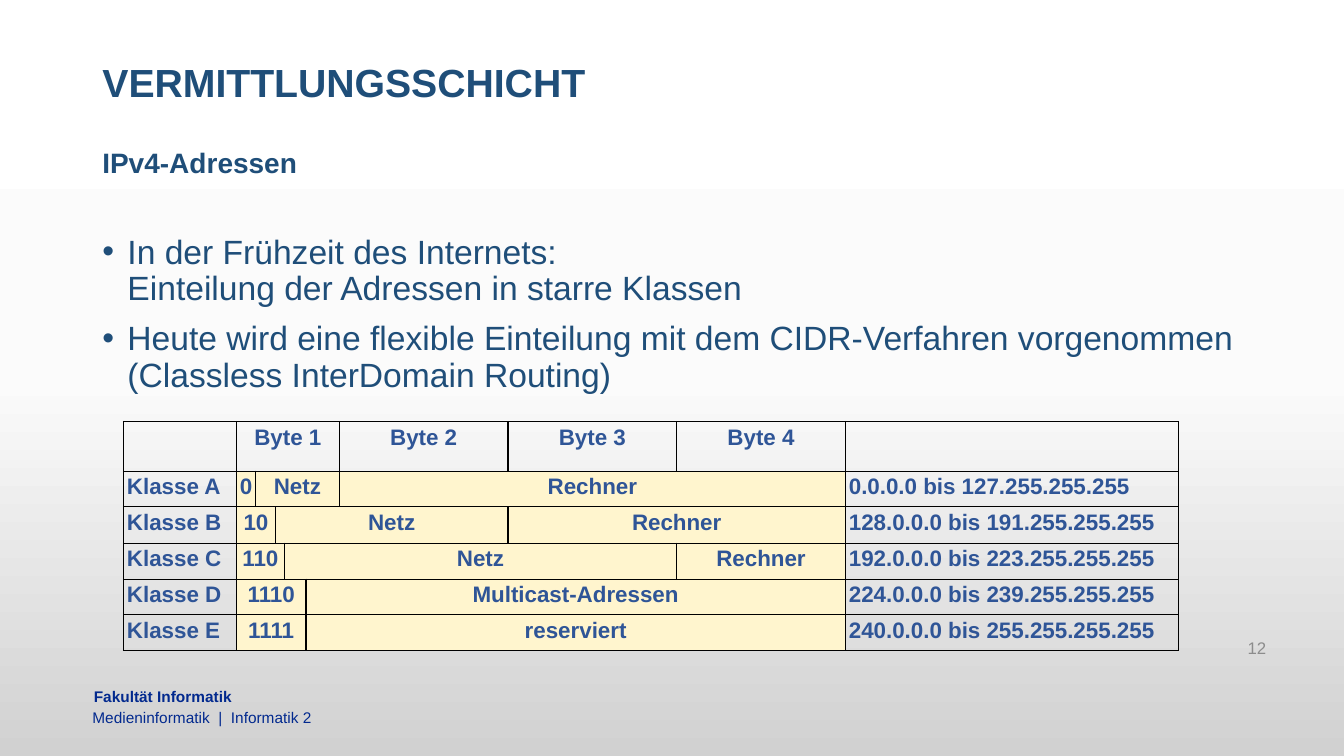
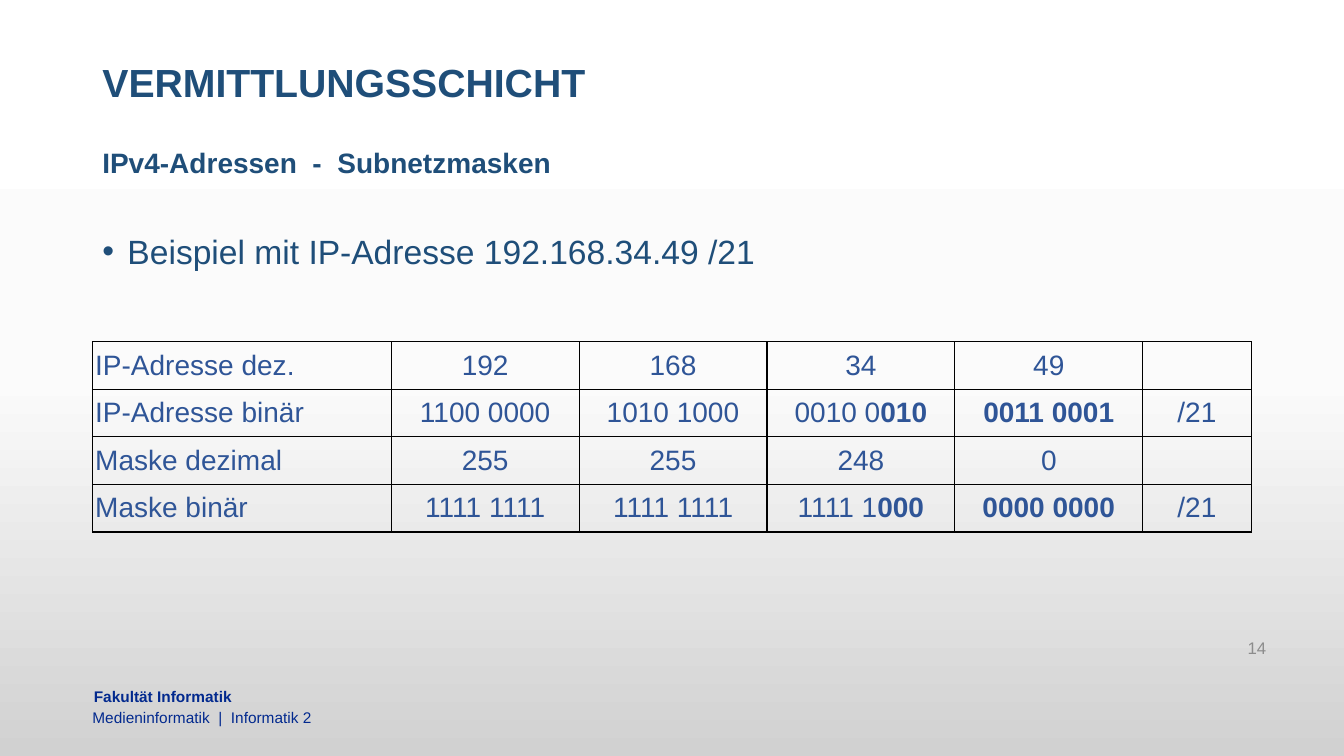
from copy import deepcopy

from lxml import etree
from pptx import Presentation
from pptx.dml.color import RGBColor
from pptx.enum.text import MSO_ANCHOR, MSO_AUTO_SIZE, PP_ALIGN
from pptx.oxml.ns import qn
from pptx.util import Pt

LEFT, CENTER, RIGHT = PP_ALIGN.LEFT, PP_ALIGN.CENTER, PP_ALIGN.RIGHT
TOP, MIDDLE = MSO_ANCHOR.TOP, MSO_ANCHOR.MIDDLE
NO_AUTOSIZE = MSO_AUTO_SIZE.NONE

FONT = "Arial"
HEADING = "1F4E79"
TABLE_TEXT = "2F5597"
FOOTER = "02298E"
PAGE_NUMBER = "8C8C8C"
ADDRESS_FILL = "FFF5CE"
BORDER = "000000"
BACKGROUND_STOPS = ((0, "FFFFFF"), (0.5, "FBFBFB"), (1, "D1D1D1"))

CONTENT_LEFT, CONTENT_WIDTH = 66, 828
TITLE_ONLY = 5

# Each cell is (text, number of columns it covers).
CLASS_ROWS = [
    [("", 1), ("Byte 1", 5), ("Byte 2", 1), ("Byte 3", 1), ("Byte 4", 1), ("", 1)],
    [("Klasse A", 1), ("0", 1), ("Netz", 4), ("Rechner", 3),
     ("0.0.0.0 bis 127.255.255.255", 1)],
    [("Klasse B", 1), ("10", 2), ("Netz", 4), ("Rechner", 2),
     ("128.0.0.0 bis 191.255.255.255", 1)],
    [("Klasse C", 1), ("110", 3), ("Netz", 4), ("Rechner", 1),
     ("192.0.0.0 bis 223.255.255.255", 1)],
    [("Klasse D", 1), ("1110", 4), ("Multicast-Adressen", 4),
     ("224.0.0.0 bis 239.255.255.255", 1)],
    [("Klasse E", 1), ("1111", 4), ("reserviert", 4),
     ("240.0.0.0 bis 255.255.255.255", 1)],
]
CLASS_COLUMNS = [80.7, 13.6, 14.3, 6.4, 15.4, 23.9] + [120.5] * 3 + [237.9]
CLASS_HEIGHTS = [35.5, 25.4, 26.2, 25.6, 25.2, 25.6]

# Host bits stand between asterisks and are set in bold.
MASK_ROWS = [
    ["IP-Adresse dez.", "192", "168", "34", "49", ""],
    ["IP-Adresse binär", "1100 0000", "1010 1000", "0010 0*010*", "*0011 0001*", "/21"],
    ["Maske dezimal", "255", "255", "248", "0", ""],
    ["Maske binär", "1111 1111", "1111 1111", "1111 1*000*", "*0000 0000*", "/21"],
]
MASK_COLUMNS = [213.5] + [134.2] * 4 + [77.5]


def rgb(hex_color):
    return RGBColor.from_string(hex_color)


def style_paragraph(paragraph, size, color, bold=False, align=LEFT):
    paragraph.alignment = align
    for run in paragraph.runs:
        run.font.name = FONT
        run.font.size = Pt(size)
        run.font.bold = bold
        run.font.color.rgb = rgb(color)


def set_background(master):
    fill = master.background.fill
    fill.gradient()
    fill.gradient_angle = 270
    stop_list = master.element.find(".//" + qn("a:gsLst"))
    stop_list.append(deepcopy(stop_list[0]))
    for stop, (position, color) in zip(fill.gradient_stops, BACKGROUND_STOPS):
        stop.position = position
        stop.color.rgb = rgb(color)


def add_text(slide, text, left, top, width, height, size, color,
             bold=False, align=LEFT, anchor=TOP, inset=True):
    box = slide.shapes.add_textbox(Pt(left), Pt(top), Pt(width), Pt(height))
    frame = box.text_frame
    frame.word_wrap = True
    frame.vertical_anchor = anchor
    if not inset:
        frame.margin_left = frame.margin_right = 0
        frame.margin_top = frame.margin_bottom = 0
    frame.text = text
    for paragraph in frame.paragraphs:
        style_paragraph(paragraph, size, color, bold, align)
    return frame


def add_bullets(slide, items, height):
    frame = add_text(slide, "\n".join(items), CONTENT_LEFT, 164.5, CONTENT_WIDTH,
                     height, 24, HEADING)
    for index, paragraph in enumerate(frame.paragraphs):
        properties = paragraph._p.get_or_add_pPr()
        properties.set("marL", str(Pt(18)))
        properties.set("indent", str(-Pt(18)))
        etree.SubElement(properties, qn("a:buFont"), typeface=FONT)
        etree.SubElement(properties, qn("a:buChar"), char="•")
        paragraph.line_spacing = 0.9
        if index:
            paragraph.space_before = Pt(10)


def add_content_slide(prs, subtitle, number):
    """Add a slide with the shared title, subtitle, footer and page number."""
    slide = prs.slides.add_slide(prs.slide_layouts[TITLE_ONLY])
    title = slide.shapes.title
    title.left, title.top = Pt(CONTENT_LEFT), Pt(25.2)
    title.width, title.height = Pt(CONTENT_WIDTH), Pt(70.6)
    frame = title.text_frame
    frame.text = "VERMITTLUNGSSCHICHT"
    frame.auto_size = NO_AUTOSIZE
    frame.vertical_anchor = MIDDLE
    frame.paragraphs[0].line_spacing = 0.9
    style_paragraph(frame.paragraphs[0], 28, HEADING, bold=True)

    heading = add_text(slide, subtitle, CONTENT_LEFT, 103, CONTENT_WIDTH, 36,
                       20, HEADING, bold=True)
    heading.paragraphs[0].line_spacing = 0.9
    add_text(slide, "Fakultät Informatik", 67, 491, 612, 14.4,
             11, FOOTER, bold=True, inset=False)
    add_text(slide, "Medieninformatik  |  Informatik 2", 66, 505.5, 613, 13.7,
             11, FOOTER, inset=False)
    add_text(slide, str(number), 687.6, 448, 224, 28.8,
             12, PAGE_NUMBER, align=RIGHT, anchor=MIDDLE)
    return slide


def add_borders(cell):
    properties = cell._tc.get_or_add_tcPr()
    for index, side in enumerate(("a:lnL", "a:lnR", "a:lnT", "a:lnB")):
        line = etree.Element(qn(side), w=str(Pt(1)))
        solid = etree.SubElement(line, qn("a:solidFill"))
        etree.SubElement(solid, qn("a:srgbClr"), val=BORDER)
        properties.insert(index, line)


def add_grid(slide, left, top, columns, heights, margins):
    """Add a plain bordered table; margins are (horizontal, vertical)."""
    table = slide.shapes.add_table(
        len(heights), len(columns), Pt(left), Pt(top),
        Pt(sum(columns)), Pt(sum(heights))).table
    table.first_row = table.horz_banding = False
    for column, width in zip(table.columns, columns):
        column.width = Pt(width)
    for row, height in zip(table.rows, heights):
        row.height = Pt(height)
    for cell in table.iter_cells():
        cell.margin_left = cell.margin_right = Pt(margins[0])
        cell.margin_top = cell.margin_bottom = Pt(margins[1])
        cell.fill.background()
        add_borders(cell)
    return table


def add_class_table(slide):
    table = add_grid(slide, 88.2, 301, CLASS_COLUMNS, CLASS_HEIGHTS, (2.5, 2.5))
    last = len(CLASS_COLUMNS) - 1
    for row, cells in enumerate(CLASS_ROWS):
        column = 0
        for text, span in cells:
            cell = table.cell(row, column)
            is_address = 0 < column < last
            if span > 1:
                cell.merge(table.cell(row, column + span - 1))
            if is_address and row:
                cell.fill.solid()
                cell.fill.fore_color.rgb = rgb(ADDRESS_FILL)
            cell.text_frame.text = text
            style_paragraph(cell.text_frame.paragraphs[0], 16, TABLE_TEXT,
                            bold=True, align=CENTER if is_address else LEFT)
            column += span


def add_mask_table(slide):
    table = add_grid(slide, 66, 244, MASK_COLUMNS, [34] * len(MASK_ROWS), (2, 1.5))
    for row, texts in enumerate(MASK_ROWS):
        for column, text in enumerate(texts):
            cell = table.cell(row, column)
            cell.vertical_anchor = MIDDLE
            paragraph = cell.text_frame.paragraphs[0]
            parts = [(part, index % 2 == 1)
                     for index, part in enumerate(text.split("*")) if part]
            for part, _ in parts:
                paragraph.add_run().text = part
            style_paragraph(paragraph, 20, TABLE_TEXT,
                            align=CENTER if column else LEFT)
            for run, (_, bold) in zip(paragraph.runs, parts):
                run.font.bold = bold


def main():
    prs = Presentation()
    prs.slide_width, prs.slide_height = Pt(960), Pt(540)
    set_background(prs.slide_master)

    classes = add_content_slide(prs, "IPv4-Adressen", 12)
    add_bullets(classes, [
        "In der Frühzeit des Internets:\vEinteilung der Adressen in starre Klassen",
        "Heute wird eine flexible Einteilung mit dem CIDR-Verfahren vorgenommen "
        "(Classless InterDomain Routing)",
    ], 144.7)
    add_class_table(classes)

    masks = add_content_slide(prs, "IPv4-Adressen  -  Subnetzmasken", 14)
    add_bullets(masks, ["Beispiel mit IP-Adresse 192.168.34.49 /21"], 116)
    add_mask_table(masks)

    prs.save("out.pptx")


if __name__ == "__main__":
    main()
